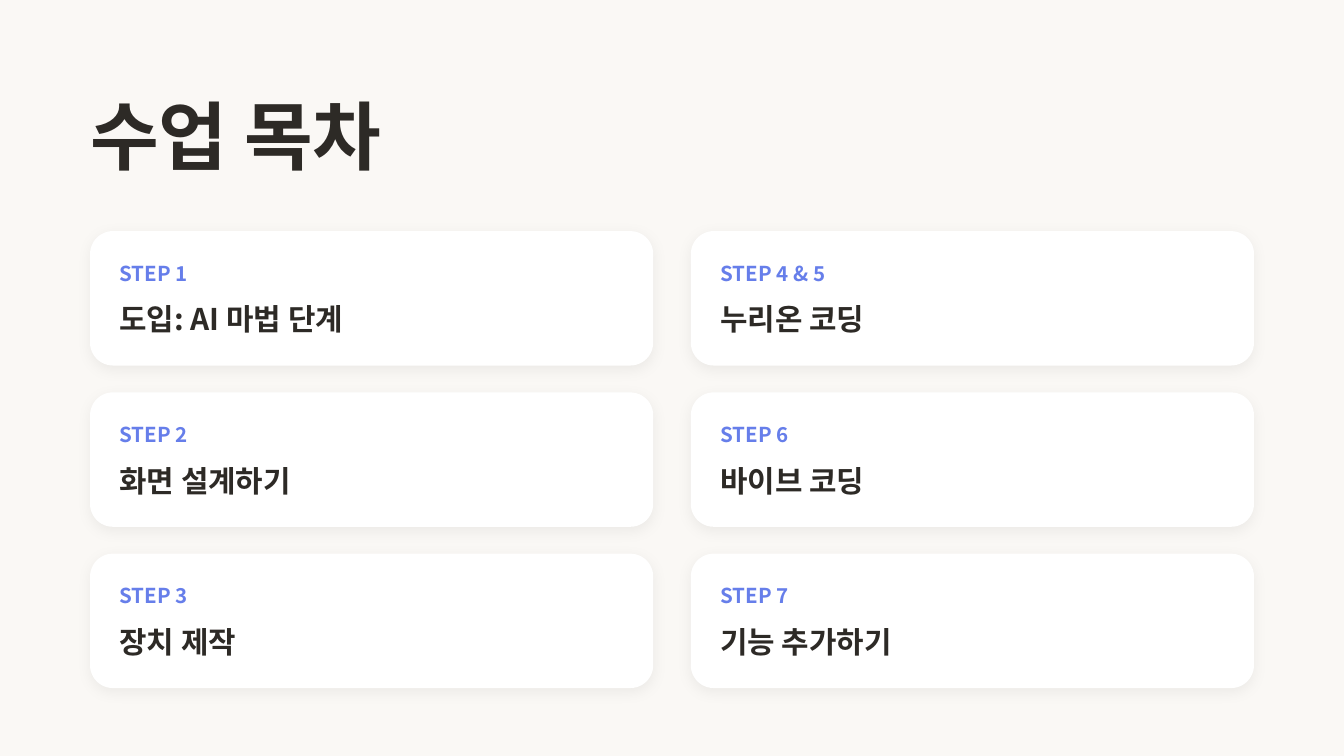
"""Build the class contents slide: a title above a grid of step cards."""
from dataclasses import dataclass

from lxml import etree
from pptx import Presentation
from pptx import util as u
from pptx.dml.color import RGBColor
from pptx.enum import shapes, text
from pptx.oxml.ns import qn


@dataclass(frozen=True)
class Theme:
    """Colours, font and type sizes of the slide."""
    font: str = "Noto Sans CJK KR"
    background: str = "FAF8F5"
    card: str = "FFFFFF"
    ink: str = "2D2A26"
    accent: str = "667EEA"
    shadow: str = "000000"
    title_size: int = 40
    step_size: int = 11
    topic_size: int = 16


@dataclass(frozen=True)
class Card:
    """One step of the class."""
    step: str
    topic: str


THEME = Theme()
TITLE = "수업 목차"
COLUMNS = (
    (Card("STEP 1", "도입: AI 마법 단계"), Card("STEP 2", "화면 설계하기"), Card("STEP 3", "장치 제작")),
    (Card("STEP 4 & 5", "누리온 코딩"), Card("STEP 6", "바이브 코딩"), Card("STEP 7", "기능 추가하기")),
)
LEFT, TOP = 0.67, 1.72
CARD_W, CARD_H = 4.19, 1
COL_GAP, ROW_GAP = 0.28, 0.2
PAD, TEXT_W = 0.22, 3.83


def place(sp, left: float, top: float, width: float, height: float) -> None:
    """Set position and size in inches."""
    sp.left, sp.top = u.Inches(left), u.Inches(top)
    sp.width, sp.height = u.Inches(width), u.Inches(height)


def write(sp, words: str, size: int, color: str, space_after: int = 0) -> None:
    """Fill a shape with one bold, left-aligned line without insets."""
    tf = sp.text_frame
    tf.word_wrap = True
    tf.auto_size = text.MSO_AUTO_SIZE.NONE
    tf.vertical_anchor = text.MSO_ANCHOR.TOP
    tf.margin_left = tf.margin_right = tf.margin_top = tf.margin_bottom = 0
    p = tf.paragraphs[0]
    p.alignment = text.PP_ALIGN.LEFT
    p.space_after = u.Pt(space_after)
    r = p.add_run()
    r.text = words
    r.font.name = THEME.font
    r.font.size = u.Pt(size)
    r.font.bold = True
    r.font.color.rgb = RGBColor.from_string(color)
    etree.SubElement(r.font._element, qn("a:ea"), typeface=THEME.font)


def add_label(s, left: float, top: float, height: float, words: str,
              size: int, color: str, space_after: int = 0) -> None:
    """Add a line of card text."""
    sp = s.shapes.add_textbox(0, 0, 0, 0)
    place(sp, left, top, TEXT_W, height)
    write(sp, words, size, color, space_after)


def add_soft_shadow(sp) -> None:
    """Give a shape a faint shadow straight below it."""
    sp.shadow.inherit = False
    effects = sp._element.spPr.find(qn("a:effectLst"))
    shadow = etree.SubElement(effects, qn("a:outerShdw"), blurRad=str(u.Pt(8)),
                              dist=str(u.Pt(2)), dir=str(90 * 60000),
                              algn="bl", rotWithShape="0")
    color = etree.SubElement(shadow, qn("a:srgbClr"), val=THEME.shadow)
    etree.SubElement(color, qn("a:alpha"), val="6000")


def add_card(s, card: Card, left: float, top: float) -> None:
    """Draw a rounded card with its step and topic."""
    sp = s.shapes.add_shape(shapes.MSO_SHAPE.ROUNDED_RECTANGLE, 0, 0, 0, 0)
    place(sp, left, top, CARD_W, CARD_H)
    sp.adjustments[0] = 0.17
    sp.fill.solid()
    sp.fill.fore_color.rgb = RGBColor.from_string(THEME.card)
    sp.line.fill.background()
    add_soft_shadow(sp)
    add_label(s, left + PAD, top + PAD, 0.19, card.step, THEME.step_size, THEME.accent, 8)
    add_label(s, left + PAD, top + 0.52, 0.26, card.topic, THEME.topic_size, THEME.ink)


def main() -> None:
    """Build and save the slide."""
    prs = Presentation()
    prs.slide_width = u.Inches(10)
    prs.slide_height = prs.slide_width * 9 // 16
    s = prs.slides.add_slide(prs.slide_layouts.get_by_name("Title Only"))
    s.background.fill.solid()
    s.background.fill.fore_color.rgb = RGBColor.from_string(THEME.background)
    place(s.shapes.title, LEFT, 0.67, 8.84, 0.67)
    write(s.shapes.title, TITLE, THEME.title_size, THEME.ink)
    for col, cards in enumerate(COLUMNS):
        for row, card in enumerate(cards):
            add_card(s, card, LEFT + col * (CARD_W + COL_GAP), TOP + row * (CARD_H + ROW_GAP))
    prs.save("out.pptx")


if __name__ == "__main__":
    main()
